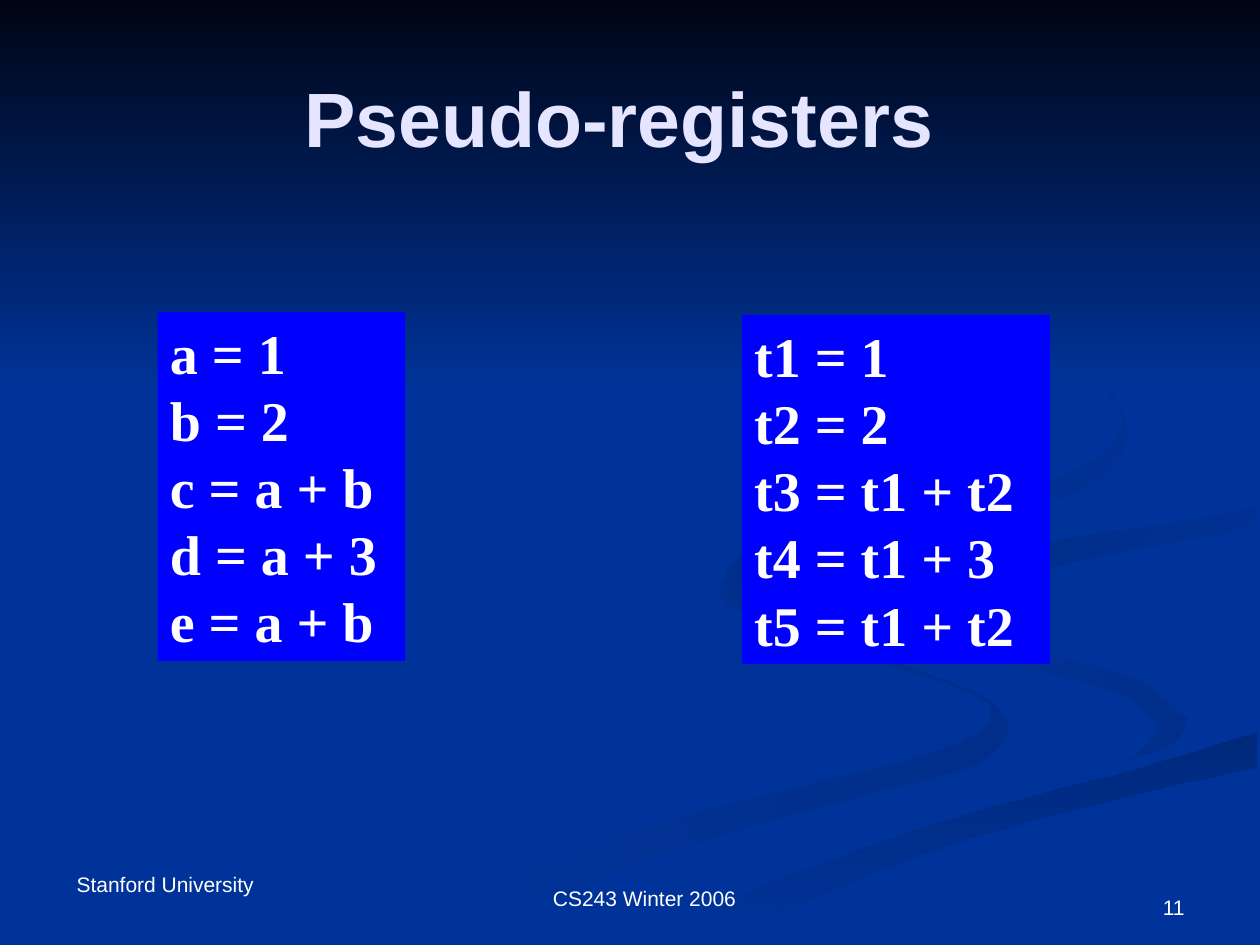
"""Build the Pseudo-registers slide: two code listings over a ribboned blue background."""
import pptx
import pptx.dml.color
import pptx.enum.shapes
import pptx.enum.text
import pptx.util

COLORS = {
    "blue": "003399", "night": "000514", "box": "0000FF", "title": "E5E5FF", "white": "FFFFFF",
    "shade": "002E8A", "road": "00297C", "bend": "002C85", "curl": "002B81",
}
ALIGN = pptx.enum.text.PP_ALIGN
ANCHOR = pptx.enum.text.MSO_ANCHOR
RECTANGLE = pptx.enum.shapes.MSO_SHAPE.RECTANGLE
rgb = pptx.dml.color.RGBColor.from_string

prs = pptx.Presentation()
prs.slide_width = pptx.util.Inches(10)
prs.slide_height = pptx.util.Inches(7.5)
COL = prs.slide_width / 40
ROW = prs.slide_height / 30
s = prs.slides.add_slide(prs.slide_layouts[5])


def paint(sp, start, end=None, angle=0):
    sp.shadow.inherit = False
    sp.line.fill.background()
    if end is None:
        sp.fill.solid()
        sp.fill.fore_color.rgb = rgb(COLORS[start])
    else:
        sp.fill.gradient()
        sp.fill.gradient_angle = angle
        for stop, name in zip(sp.fill.gradient_stops, (start, end)):
            stop.color.rgb = rgb(COLORS[name])


def write(sp, cell, lines, size, font="Arial", color="white", bold=False,
          align=ALIGN.LEFT, anchor=ANCHOR.TOP):
    sp.left, sp.width = (int(v * COL) for v in cell[::2])
    sp.top, sp.height = (int(v * ROW) for v in cell[1::2])
    tf = sp.text_frame
    tf.word_wrap = True
    tf.vertical_anchor = anchor
    for i, line in enumerate(lines):
        p = tf.add_paragraph() if i else tf.paragraphs[0]
        p.alignment = align
        r = p.add_run()
        r.text = line
        r.font.name = font
        r.font.size = pptx.util.Pt(size)
        r.font.bold = bold
        r.font.color.rgb = rgb(COLORS[color])


s.background.fill.solid()
s.background.fill.fore_color.rgb = rgb(COLORS["blue"])

UNIT = prs.slide_width / 1000
STEPS = 6
knots = {
    "meander top": [(570, 468), (581, 483), (631, 505), (714, 530), (776, 553), (786, 566),
                    (774, 583), (714, 605), (616, 629), (499, 661), (376, 707), (300, 749)],
    "meander foot": [(361, 749), (466, 700), (564, 665), (676, 634), (769, 609), (799, 585),
                     (795, 567), (781, 553), (731, 533), (642, 507), (594, 485), (575, 459)],
    "throat": [(725, 464), (733, 483), (774, 503), (850, 524), (905, 540), (943, 570)],
    "throat end": [(943, 570), (937, 586), (918, 597), (894, 605)],
    "eddy": [(894, 605), (918, 581), (900, 557), (868, 544), (797, 524), (755, 505),
             (730, 483), (725, 464)],
    "delta": [(943, 570), (926, 593), (843, 618), (743, 643), (619, 684), (477, 749)],
    "road top": [(503, 749), (543, 733), (630, 693), (764, 647), (903, 610), (998, 581)],
    "road foot": [(998, 609), (903, 630), (785, 661), (695, 692), (614, 726), (571, 749)],
    "cove": [(998, 538), (904, 519), (832, 498), (786, 473), (781, 460)],
    "far foot": [(781, 460), (800, 442), (850, 427), (933, 415), (998, 402)],
    "far top": [(998, 387), (920, 401), (788, 422), (732, 446), (725, 464)],
    "bend foot": [(998, 420), (939, 429), (843, 448), (809, 466), (805, 476), (826, 496)],
    "bend end": [(826, 496), (797, 483), (781, 460)],
    "curl top": [(762, 233), (846, 279), (885, 320), (886, 348), (842, 378), (763, 398),
                 (649, 420), (589, 441), (577, 462), (590, 484), (622, 500)],
    "curl foot": [(622, 500), (597, 480), (596, 461), (624, 444), (683, 430), (786, 412),
                  (855, 391), (889, 362), (890, 324), (843, 275), (762, 233)],
}

# Each edge becomes a Catmull-Rom curve through its knots.
edges = {}
for name, pts in knots.items():
    padded = [pts[0], *pts, pts[-1]]
    edges[name] = [pts[0]]
    for quad in zip(padded, padded[1:], padded[2:], padded[3:]):
        for t in (step / STEPS for step in range(1, STEPS + 1)):
            edges[name].append(tuple(
                b + t * (c - a) / 2 + t**2 * (2 * a - 5 * b + 4 * c - d) / 2
                + t**3 * (3 * b - a - 3 * c + d) / 2
                for a, b, c, d in zip(*quad)))

# Neighbouring ribbons share edges, so each ribbon is a ring of edge names.
ribbons = [
    (["meander top", "meander foot"], ("shade", "blue", 180)),
    (["throat", "throat end", "eddy"], ("shade", "blue", 135)),
    (["road top", "road foot"], ("road", "blue", 270)),
    (["throat", "delta", "road top", "cove", "far foot", "far top"], ("blue",)),
    (["far foot", "bend foot", "bend end"], ("blue", "bend", 135)),
    (["curl top", "curl foot"], ("blue", "curl", 135)),
]
for ring, look in ribbons:
    outline = [point for name in ring for point in edges[name]]
    fb = s.shapes.build_freeform(*outline[0], scale=UNIT)
    fb.add_line_segments(outline[1:], close=True)
    paint(fb.convert_to_shape(), *look)

sky = s.shapes.add_shape(RECTANGLE, 0, 0, prs.slide_width, int(12.32 * ROW))
paint(sky, "night", "blue", 270)

title = s.shapes.title
s.shapes.element.append(title.element)
write(title, (2, 1.2, 36, 5), ["Pseudo-registers "], 44, color="title", bold=True,
      align=ALIGN.CENTER, anchor=ANCHOR.MIDDLE)

listings = [
    ((5, 9.9, 7.86, 11.08), ["a = 1", "b = 2", "c = a + b", "d = a + 3", "e = a + b"]),
    ((23.55, 10, 9.78, 11.08), ["t1 = 1", "t2 = 2", "t3 = t1 + t2", "t4 = t1 + 3", "t5 = t1 + t2"]),
]
for cell, lines in listings:
    sp = s.shapes.add_shape(RECTANGLE, 0, 0, 0, 0)
    paint(sp, "box")
    write(sp, cell, lines, 32, font="Times New Roman", bold=True)

footers = [
    ((2.04, 27.46, 7.52, 1.2), "Stanford University", ALIGN.LEFT, ANCHOR.TOP),
    ((17.16, 27.92, 7, 1.2), "CS243 Winter 2006", ALIGN.LEFT, ANCHOR.TOP),
    ((28.68, 27.32, 9.32, 2.08), "11", ALIGN.RIGHT, ANCHOR.BOTTOM),
]
for cell, text, align, anchor in footers:
    write(s.shapes.add_textbox(0, 0, 0, 0), cell, [text], 12, align=align, anchor=anchor)

prs.save("out.pptx")
